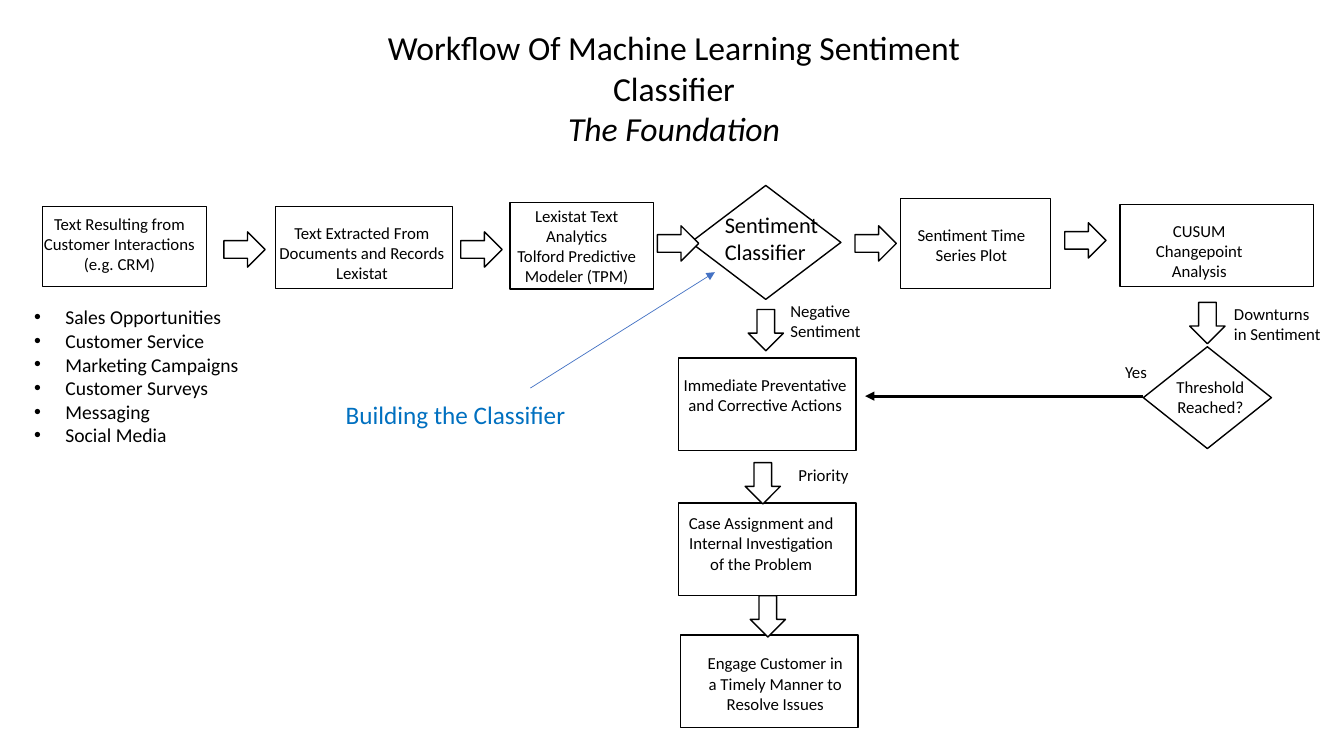
"""Builds the workflow slide of a machine learning sentiment classifier."""
from lxml import etree
from pptx import Presentation
from pptx.dml.color import RGBColor
from pptx.enum.shapes import MSO_CONNECTOR, MSO_SHAPE
from pptx.enum.text import MSO_AUTO_SIZE, PP_ALIGN
from pptx.oxml.ns import qn
from pptx.util import Inches, Pt

RECT, DIAMOND = MSO_SHAPE.RECTANGLE, MSO_SHAPE.DIAMOND
DECISION, ARROW = MSO_SHAPE.FLOWCHART_DECISION, MSO_SHAPE.RIGHT_ARROW
STRAIGHT = MSO_CONNECTOR.STRAIGHT
LEFT, CENTER = PP_ALIGN.LEFT, PP_ALIGN.CENTER
GROW = MSO_AUTO_SIZE.SHAPE_TO_FIT_TEXT
FONT, BLACK, WHITE, BLUE, LINE_BLUE = "Calibri", "000000", "FFFFFF", "0070C0", "4472C4"
ARROW_W, ARROW_H = 0.41, 0.35
STEP_W, STEP_H = 1.76, 0.92
INDENT = 0.31

NODES = [
    (RECT, 0.42, 2.05, 1.63, 0.79),
    (RECT, 2.73, 2.05, 1.76, 0.81),
    (RECT, 5.06, 2.01, 1.42, 0.86),
    (DIAMOND, 6.85, 1.84, 1.49, 1.13),
    (RECT, 8.93, 1.97, 1.49, 0.89),
    (RECT, 11.11, 2.03, 1.92, 0.81),
    (DECISION, 11.34, 3.44, 1.27, 1.01),
    (RECT, 6.73, 3.55, STEP_W, STEP_H),
    (RECT, 6.73, 4.99, STEP_W, STEP_H),
    (RECT, 6.75, 6.3, STEP_W, STEP_H),
]
RIGHT_ARROWS = [(2.22, 2.3), (4.57, 2.3), (6.52, 2.24), (8.48, 2.24), (10.56, 2.21)]
DOWN_ARROWS = [(7.39, 3.1), (7.36, 4.62), (7.41, 5.94), (11.77, 3.03)]
CONNECTORS = [
    (11.34, 3.93, 8.58, 3.93, BLACK, 2.25),
    (5.26, 3.85, 7.09, 2.7, LINE_BLUE, 0.5),
]
TITLE = ["Workflow Of Machine Learning Sentiment Classifier", "The Foundation"]
CHANNELS = ["Sales Opportunities", "Customer Service", "Marketing Campaigns",
            "Customer Surveys", "Messaging", "Social Media"]
NODE_TEXTS = [
    (0.3, 2.07, 1.77, 0.71, ["Text Resulting from Customer Interactions (e.g. CRM)"]),
    (2.5, 2.16, 2.18, 0.71, ["Text Extracted From Documents and Records", "Lexistat"]),
    (4.99, 1.99, 1.46, 0.91, ["Lexistat Text Analytics", "Tolford Predictive Modeler (TPM)"]),
    (8.85, 2.18, 1.57, 0.5, ["Sentiment Time Series Plot"]),
    (11.11, 2.14, 1.57, 0.71, ["CUSUM Changepoint Analysis"]),
    (11.22, 3.69, 1.57, 0.5, ["Threshold", "Reached?"]),
    (6.6, 3.67, 1.98, 0.5, ["Immediate Preventative and Corrective Actions"]),
    (6.46, 5.04, 2.18, 0.71, ["Case Assignment and Internal Investigation", "of the Problem"]),
    (6.6, 6.43, 2.18, 0.71, ["Engage Customer in", "a Timely Manner to", "Resolve Issues"]),
]
LABELS = [
    (7.74, 2.93, 2.18, 0.5, ["Negative", "Sentiment"]),
    (7.82, 4.56, 1.31, 0.3, ["Priority"]),
    (12.14, 2.96, 1.09, 0.5, ["Downturns in Sentiment"]),
    (11.06, 3.54, 1.09, 0.3, ["Yes"]),
]


def rgb(value):
    return RGBColor.from_string(value)


def add_node(s, kind, x, y, w, h, rotation=0):
    sp = s.shapes.add_shape(kind, Inches(x), Inches(y), Inches(w), Inches(h))
    sp.shadow.inherit = False
    sp.fill.solid()
    sp.fill.fore_color.rgb = rgb(WHITE)
    sp.line.color.rgb = rgb(BLACK)
    sp.line.width = Pt(1)
    sp.rotation = rotation


def add_text(s, x, y, w, h, lines, size=12, align=LEFT, color=BLACK, bullet=False):
    tf = s.shapes.add_textbox(Inches(x), Inches(y), Inches(w), Inches(h)).text_frame
    tf.word_wrap = True
    tf.auto_size = GROW
    tf.text = "\n".join(lines)
    for p in tf.paragraphs:
        p.alignment = align
        if bullet:
            pPr = p._p.get_or_add_pPr()
            pPr.set("marL", str(Inches(INDENT)))
            pPr.set("indent", str(-Inches(INDENT)))
            etree.SubElement(pPr, qn("a:buFont")).set("typeface", "Arial")
            etree.SubElement(pPr, qn("a:buChar")).set("char", "•")
        for r in p.runs:
            r.font.name = FONT
            r.font.size = Pt(size)
            r.font.color.rgb = rgb(color)
    return tf


def add_line(s, x1, y1, x2, y2, color, width):
    cn = s.shapes.add_connector(STRAIGHT, Inches(x1), Inches(y1), Inches(x2), Inches(y2))
    cn.line.color.rgb = rgb(color)
    cn.line.width = Pt(width)
    etree.SubElement(cn.line._get_or_add_ln(), qn("a:tailEnd")).set("type", "triangle")
    etree.SubElement(cn._element.spPr, qn("a:effectLst"))


def main():
    prs = Presentation()
    prs.slide_width, prs.slide_height = Inches(13.33), Inches(7.5)
    s = prs.slides.add_slide(prs.slide_layouts[6])

    for node in NODES:
        add_node(s, *node)
    for arrows, rotation in ((RIGHT_ARROWS, 0), (DOWN_ARROWS, 90)):
        for x, y in arrows:
            add_node(s, ARROW, x, y, ARROW_W, ARROW_H, rotation)

    title = add_text(s, 3.72, 0.22, 5.93, 1.31, TITLE, 24, CENTER)
    title.paragraphs[1].runs[0].font.italic = True
    for text in NODE_TEXTS:
        add_text(s, *text, align=CENTER)
    for label in LABELS:
        add_text(s, *label)
    add_text(s, 7.09, 2.05, 1.63, 0.64, ["Sentiment Classifier"], 16)
    add_text(s, 0.24, 2.98, 2.47, 1.51, CHANNELS, 14, bullet=True)
    add_text(s, 3.33, 3.91, 2.4, 0.4, ["Building the Classifier"], 18, color=BLUE)

    for connector in CONNECTORS:
        add_line(s, *connector)
    prs.save("out.pptx")


if __name__ == "__main__":
    main()
